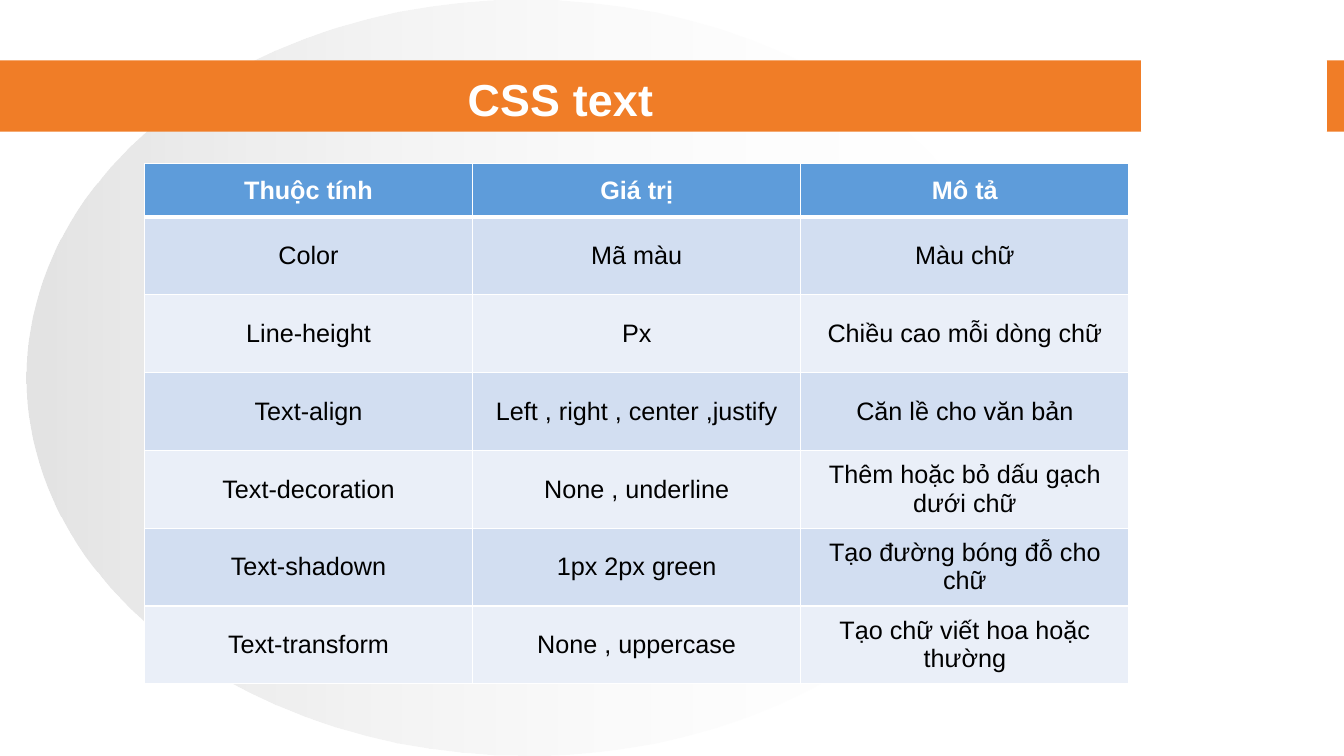
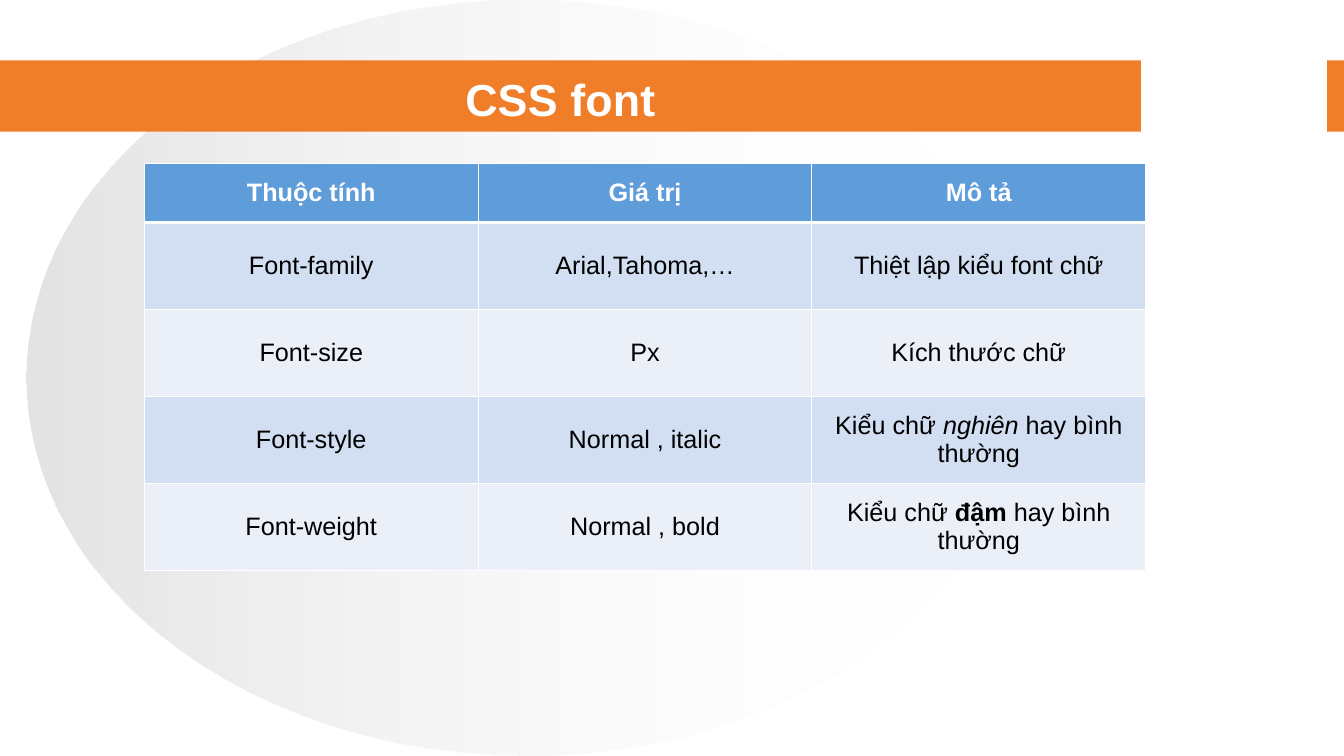
import pptx
import pptx.dml.color
import pptx.enum.shapes
import pptx.enum.text
import pptx.oxml
import pptx.oxml.ns
import pptx.util
from lxml import etree

Cm, Pt = pptx.util.Cm, pptx.util.Pt
SHAPE = pptx.enum.shapes.MSO_SHAPE
CENTER = pptx.enum.text.PP_ALIGN.CENTER
MIDDLE = pptx.enum.text.MSO_ANCHOR.MIDDLE
qn = pptx.oxml.ns.qn

FONT = "Arial"
WHITE, BLACK, ORANGE, GREY = "FFFFFF", "000000", "F07D27", "C0C0C0"
HEADER_FILL, BAND_FILLS = "5E9CDA", ("D2DEF1", "EAEFF8")
WIDTH, HEIGHT = 33.87, 19.05
BAND_TOP, BAND_HEIGHT = 1.52, 1.8
TITLE_BOX = (1.73, 1.7, 24.79, 1.57)
TABLE_LEFT, TABLE_TOP = 3.64, 4.12

HEADINGS = ("Thuộc tính", "Giá trị", "Mô tả")
SLIDES = [
    {
        "title": "CSS text",
        "column": 8.27, "header": 1.35, "row": 1.96,
        "rows": [
            ("Color", "Mã màu", "Màu chữ"),
            ("Line-height", "Px", "Chiều cao mỗi dòng chữ"),
            ("Text-align", "Left , right , center ,justify", "Căn lề cho văn bản"),
            ("Text-decoration", "None , underline", "Thêm hoặc bỏ dấu gạch dưới chữ"),
            ("Text-shadown", "1px 2px green", "Tạo đường bóng đỗ cho chữ"),
            ("Text-transform", "None , uppercase", "Tạo chữ viết hoa hoặc thường"),
        ],
    },
    {
        "title": "CSS font",
        "column": 8.41, "header": 1.49, "row": 2.19,
        "rows": [
            ("Font-family", "Arial,Tahoma,…", "Thiệt lập kiểu font chữ"),
            ("Font-size", "Px", "Kích thước chữ"),
            ("Font-style", "Normal , italic", ("Kiểu chữ ", "nghiên", " hay bình thường")),
            ("Font-weight", "Normal , bold", ("Kiểu chữ ", "đậm", " hay bình thường")),
        ],
    },
]
ITALIC_WORDS, BOLD_WORDS = {"nghiên"}, {"đậm"}


def rgb(value):
    """Return the colour of a hex string."""
    return pptx.dml.color.RGBColor.from_string(value)


def format_run(r, size, color, bold, italic=False):
    """Set the font of a run."""
    r.font.name, r.font.size = FONT, Pt(size)
    r.font.bold, r.font.italic = bold, italic
    r.font.color.rgb = rgb(color)


def add_backdrop_shape(slide, kind, box, fill=None, line=None):
    """Add a shape with no shadow, and with a plain fill if one is given."""
    sp = slide.shapes.add_shape(kind, *map(Cm, box))
    sp.shadow.inherit = False
    if fill:
        sp.fill.solid()
        sp.fill.fore_color.rgb = rgb(fill)
    if line:
        sp.line.color.rgb = rgb(line)
        sp.line.width = Pt(0.75)
    else:
        sp.line.fill.background()
    return sp


def fade_right(sp):
    """Fill a shape with grey that fades out to the right."""
    sp.fill.gradient()
    sp.fill.gradient_angle = 0
    for stop, position, color, alpha in zip(sp.fill.gradient_stops, (0, 1), (GREY, WHITE), (44, 0)):
        stop.position = position
        stop.color.rgb = rgb(color)
    for clr, alpha in zip(sp.element.spPr.findall(".//" + qn("a:srgbClr")), (44, 0)):
        etree.SubElement(clr, qn("a:alpha"), val=str(alpha * 1000))


def style_layout(layout, slide):
    """Draw the shared backdrop and move it from the slide to the layout."""
    ellipse = add_backdrop_shape(slide, SHAPE.OVAL, (0.66, 0, 25.2, HEIGHT))
    fade_right(ellipse)
    band = add_backdrop_shape(slide, SHAPE.RECTANGLE, (0, BAND_TOP, WIDTH, BAND_HEIGHT), ORANGE)
    gap = add_backdrop_shape(slide, SHAPE.RECTANGLE, (28.78, BAND_TOP, 4.65, BAND_HEIGHT), WHITE, WHITE)
    for i, sp in enumerate((ellipse, band, gap)):
        sp.element.find(".//" + qn("p:cNvPr")).set("id", str(101 + i))
        layout.shapes.element.insert(2 + i, sp.element)
    title = next(ph for ph in layout.placeholders if ph.placeholder_format.idx == 0)
    title.left, title.top, title.width, title.height = map(Cm, TITLE_BOX)


def set_title(slide, text):
    """Write the slide title."""
    tf = slide.shapes.title.text_frame
    tf.text = text
    tf.vertical_anchor = MIDDLE
    tf.auto_size = pptx.enum.text.MSO_AUTO_SIZE.NONE
    p = tf.paragraphs[0]
    p.alignment = CENTER
    format_run(p.runs[0], 32, WHITE, True)
    p.runs[0].font._element.set("spc", "10")


def set_borders(cell, top, bottom):
    """Give a cell white borders of the given top and bottom widths."""
    tc_pr = cell._tc.get_or_add_tcPr()
    for i, (side, width) in enumerate((("L", 1), ("R", 1), ("T", top), ("B", bottom))):
        tc_pr.insert(i, pptx.oxml.parse_xml(
            f'<a:ln{side} {pptx.oxml.ns.nsdecls("a")} w="{Pt(width)}"><a:solidFill>'
            f'<a:srgbClr val="{WHITE}"/></a:solidFill></a:ln{side}>'))


def fill_cell(cell, content, row):
    """Write and format one table cell."""
    header = row == 0
    cell.vertical_anchor = MIDDLE
    cell.fill.solid()
    cell.fill.fore_color.rgb = rgb(HEADER_FILL if header else BAND_FILLS[(row - 1) % 2])
    set_borders(cell, 3 if row == 1 else 1, 3 if header else 1)
    p = cell.text_frame.paragraphs[0]
    p.alignment = CENTER
    for part in (content,) if isinstance(content, str) else content:
        r = p.add_run()
        r.text = part
        format_run(r, 18, WHITE if header else BLACK, header or part in BOLD_WORDS, part in ITALIC_WORDS)


def add_property_table(slide, data):
    """Add the table of CSS properties."""
    rows = [HEADINGS] + data["rows"]
    heights = [data["header"]] + [data["row"]] * len(data["rows"])
    table = slide.shapes.add_table(
        len(rows), len(HEADINGS), Cm(TABLE_LEFT), Cm(TABLE_TOP),
        Cm(data["column"] * len(HEADINGS)), Cm(sum(heights))).table
    table.horz_banding = False
    for column in table.columns:
        column.width = Cm(data["column"])
    for i, (contents, height) in enumerate(zip(rows, heights)):
        table.rows[i].height = Cm(height)
        for j, content in enumerate(contents):
            fill_cell(table.cell(i, j), content, i)


def main():
    """Build and save the presentation."""
    prs = pptx.Presentation()
    prs.slide_width, prs.slide_height = Cm(WIDTH), Cm(HEIGHT)
    layout = prs.slide_layouts.get_by_name("Title Only")
    slides = [prs.slides.add_slide(layout) for _ in SLIDES]
    style_layout(layout, slides[0])
    for slide, data in zip(slides, SLIDES):
        set_title(slide, data["title"])
        add_property_table(slide, data)
    prs.save("out.pptx")


if __name__ == "__main__":
    main()
